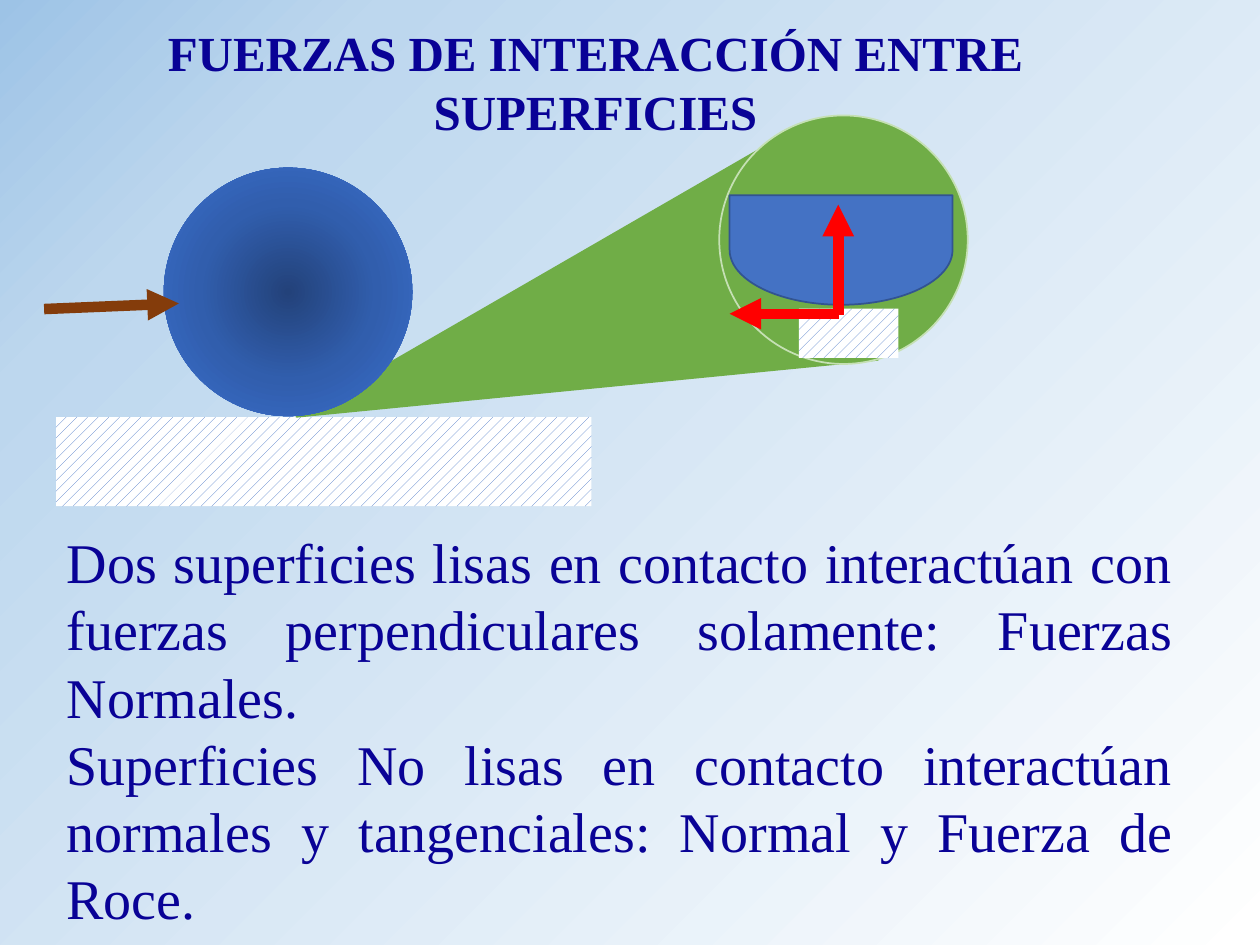
from dataclasses import dataclass
from typing import Optional

from lxml.etree import SubElement
from pptx import Presentation
from pptx.dml.color import RGBColor
from pptx.enum.dml import MSO_PATTERN as Pattern
from pptx.enum.shapes import MSO_CONNECTOR as Connector, MSO_SHAPE as Preset
from pptx.enum.text import MSO_AUTO_SIZE as AutoSize, PP_ALIGN as Align
from pptx.oxml.ns import qn
from pptx.util import Pt

COLORS = {
    "text": "090296", "blue": "4472C4", "blue_edge": "325491", "white": "FFFFFF",
    "green": "70AD47", "pale_green": "C5E0B4", "red": "FF0000", "brown": "843C0B",
    "ball_core": "23427A", "ball_mid": "315EAD", "ball_rim": "3A6FCE",
    "sky_light": "BDD7EE", "sky": "9DC3E6",
}
FONT = "Times New Roman"


@dataclass
class Body:
    preset: Preset
    left: float
    top: float
    width: float
    height: float
    fill: Optional[str] = None
    edge: Optional[str] = None
    rotation: float = 0


@dataclass
class Force:
    start: tuple[float, float]
    tip: tuple[float, float]
    color: str


@dataclass
class Passage:
    left: float
    top: float
    width: float
    height: float
    paragraphs: list[str]
    size: float
    align: Align
    bold: bool = False


def rgb(name: str) -> RGBColor:
    return RGBColor.from_string(COLORS[name])


def radiate(owner, stops: list[tuple[int, str]], focus: dict[str, int]) -> None:
    owner.fill.gradient()


def set_radial(element, stops: list[tuple[int, str]], focus: dict[str, int]) -> None:
    gradient = element.find(".//" + qn("a:gradFill"))
    for child in list(gradient):
        gradient.remove(child)
    stop_list = SubElement(gradient, qn("a:gsLst"))
    for position, name in stops:
        stop = SubElement(stop_list, qn("a:gs"), pos=str(position * 1000))
        SubElement(stop, qn("a:srgbClr"), val=COLORS[name])
    circle = SubElement(gradient, qn("a:path"), path="circle")
    SubElement(circle, qn("a:fillToRect"),
               {side: str(percent * 1000) for side, percent in focus.items()})


def draw_body(slide, body: Body):
    shape = slide.shapes.add_shape(
        body.preset, Pt(body.left), Pt(body.top), Pt(body.width), Pt(body.height))
    shape.shadow.inherit = False
    shape.rotation = body.rotation
    if body.fill:
        shape.fill.solid()
        shape.fill.fore_color.rgb = rgb(body.fill)
    else:
        shape.fill.patterned()
        shape.fill.pattern = Pattern.DASHED_UPWARD_DIAGONAL
        shape.fill.fore_color.rgb = rgb("blue")
        shape.fill.back_color.rgb = rgb("white")
    if body.edge:
        shape.line.color.rgb = rgb(body.edge)
        shape.line.width = Pt(1)
    else:
        shape.line.fill.background()
    return shape


def draw_force(slide, force: Force) -> None:
    arrow = slide.shapes.add_connector(
        Connector.STRAIGHT, *map(Pt, force.start), *map(Pt, force.tip))
    arrow.line.color.rgb = rgb(force.color)
    arrow.line.width = Pt(6)
    SubElement(arrow.line._get_or_add_ln(), qn("a:tailEnd"), type="triangle")
    SubElement(arrow.element.spPr, qn("a:effectLst"))


def write_passage(slide, passage: Passage) -> None:
    frame = slide.shapes.add_textbox(
        Pt(passage.left), Pt(passage.top), Pt(passage.width), Pt(passage.height)).text_frame
    frame.word_wrap = True
    frame.auto_size = AutoSize.SHAPE_TO_FIT_TEXT
    frame.text = "\n".join(passage.paragraphs)
    for paragraph in frame.paragraphs:
        paragraph.alignment = passage.align
        paragraph.font.name = FONT
        paragraph.font.size = Pt(passage.size)
        paragraph.font.bold = passage.bold
        paragraph.font.color.rgb = rgb("text")


TITLE = Passage(54, 9.4, 572.4, 74.9, ["FUERZAS DE INTERACCIÓN ENTRE SUPERFICIES"],
                28, Align.CENTER, True)
EXPLANATION = Passage(31, 298, 646.6, 239.8, [
    "Dos superficies lisas en contacto interactúan con fuerzas perpendiculares "
    "solamente: Fuerzas Normales.",
    "Superficies No lisas en contacto interactúan normales y tangenciales: "
    "Normal y Fuerza de Roce.",
], 32, Align.JUSTIFY)
BALL = Body(Preset.OVAL, 93.6, 95.8, 142, 142, "ball_rim")
SCENERY = [
    Body(Preset.RECTANGLE, 32, 238.3, 306, 51),
    Body(Preset.ISOSCELES_TRIANGLE, 254.2, 25.2, 141.1, 326.2, "green", "green", 252.2),
    Body(Preset.OVAL, 411, 66, 142, 142, "green", "pale_green"),
    Body(Preset.FLOWCHART_DELAY, 449.3, 79.2, 62.6, 127.4, "blue", "blue_edge", 90),
    Body(Preset.RECTANGLE, 456.5, 176.4, 56.9, 28.1),
]
FORCES = [
    Force((479, 180), (479, 117), "red"),
    Force((479.5, 179.3), (416.9, 179.3), "red"),
    Force((25.2, 176.6), (102.2, 173.4), "brown"),
]


def main() -> None:
    """Build the slide on interaction forces between surfaces."""
    deck = Presentation()
    deck.slide_width, deck.slide_height = Pt(720), Pt(540)
    slide = deck.slides.add_slide(deck.slide_layouts[6])
    slide.background.fill.gradient()
    set_radial(slide.element, [(0, "white"), (82, "sky_light"), (100, "sky")],
               {"l": 100, "t": 100})
    write_passage(slide, TITLE)
    for body in SCENERY:
        draw_body(slide, body)
    ball = draw_body(slide, BALL)
    ball.fill.gradient()
    set_radial(ball.element, [(0, "ball_core"), (50, "ball_mid"), (100, "ball_rim")],
               dict.fromkeys("ltrb", 50))
    for force in FORCES:
        draw_force(slide, force)
    write_passage(slide, EXPLANATION)
    deck.save("out.pptx")


if __name__ == "__main__":
    main()
